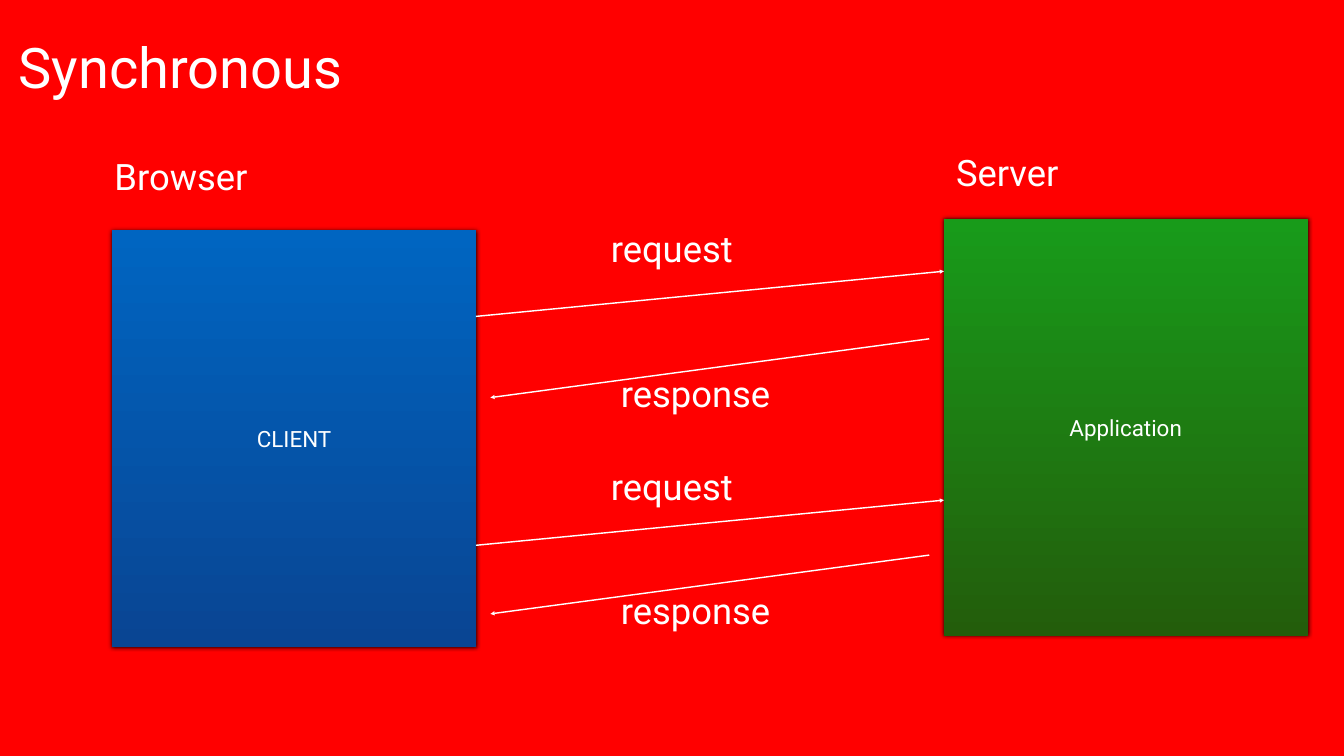
from lxml.etree import SubElement
from pptx import Presentation
from pptx.dml.color import RGBColor
from pptx.enum.shapes import MSO_CONNECTOR as Connector, MSO_SHAPE as Shape
from pptx.enum.text import MSO_ANCHOR as Anchor, MSO_AUTO_SIZE as AutoSize, PP_ALIGN as Align
from pptx.oxml.ns import qn
from pptx.util import Pt

FONT = "Roboto"
COLORS = {
    "background": "FF0000",
    "text": "FFFFFF",
    "shadow": "000000",
    "client": ("0065C1", "094593"),
    "server": ("189B1A", "235D0B"),
}
TITLE = ("Synchronous", 21, 43, 474, 104)
BLOCK_SIZE = (520.5, 595.5)
BLOCKS = [
    ("CLIENT", "client", 160, 329),
    ("Application", "server", 1348, 312.5),
]
HEADINGS = [("Browser", 159, 217, 199), ("Server", 1359.5, 210, 159)]
LABEL_HEIGHT = 70
MESSAGES = [
    {"label": "request", "left": 867.5, "width": 184.5, "label_tops": (319.5, 659.5),
     "from": (680, 452), "to": (1348.5, 387.5), "drops": (0, 327)},
    {"label": "response", "left": 881.5, "width": 224.5, "label_tops": (527, 836),
     "from": (1327.5, 484), "to": (700.5, 568), "drops": (0, 309)},
]


def rgb(value):
    return RGBColor.from_string(value)


def write(shape, text, size, wrap=False):
    frame = shape.text_frame
    frame.text = text
    frame.word_wrap = wrap
    frame.auto_size = AutoSize.NONE if wrap else AutoSize.SHAPE_TO_FIT_TEXT
    frame.vertical_anchor = Anchor.MIDDLE
    frame.margin_left = frame.margin_right = Pt(4)
    frame.margin_top = frame.margin_bottom = Pt(4)
    para = frame.paragraphs[0]
    para.alignment = Align.CENTER
    for span in para.runs:
        span.font.name = FONT
        span.font.size = Pt(size)
        span.font.color.rgb = rgb(COLORS["text"])


def add_title(page):
    text, left, top, width, height = TITLE
    title = page.shapes.title
    title.left, title.top = Pt(left), Pt(top)
    title.width, title.height = Pt(width), Pt(height)
    write(title, text, 80)


def add_label(page, text, left, top, width):
    box = page.shapes.add_textbox(Pt(left), Pt(top), Pt(width), Pt(LABEL_HEIGHT))
    write(box, text, 52)


def add_block(page, text, color, left, top):
    width, height = BLOCK_SIZE
    block = page.shapes.add_shape(Shape.RECTANGLE, Pt(left), Pt(top), Pt(width), Pt(height))
    block.fill.gradient()
    block.fill.gradient_angle = 270
    for stop, value, position in zip(block.fill.gradient_stops, COLORS[color], (0, 1)):
        stop.color.rgb = rgb(value)
        stop.position = position
    block.line.fill.background()
    block.shadow.inherit = False
    effects = block._element.spPr.find(qn("a:effectLst"))
    shadow = SubElement(effects, qn("a:outerShdw"), blurRad=str(Pt(6)), dist="0",
                        dir=str(315 * 60000), rotWithShape="0")
    tone = SubElement(shadow, qn("a:srgbClr"), val=COLORS["shadow"])
    SubElement(tone, qn("a:alpha"), val="80000")
    write(block, text, 32, wrap=True)


def add_arrow(page, start, end, drop):
    (x1, y1), (x2, y2) = start, end
    arrow = page.shapes.add_connector(Connector.STRAIGHT, Pt(x1), Pt(y1 + drop), Pt(x2), Pt(y2 + drop))
    arrow.line.color.rgb = rgb(COLORS["text"])
    arrow.line.width = Pt(2)
    properties = arrow._element.spPr
    SubElement(properties.find(qn("a:ln")), qn("a:tailEnd"), type="triangle")
    SubElement(properties, qn("a:effectLst"))


def main():
    deck = Presentation()
    deck.slide_width, deck.slide_height = Pt(1920), Pt(1080)
    page = deck.slides.add_slide(deck.slide_layouts[5])
    page.background.fill.solid()
    page.background.fill.fore_color.rgb = rgb(COLORS["background"])

    add_title(page)
    for block in BLOCKS:
        add_block(page, *block)
    for heading in HEADINGS:
        add_label(page, *heading)
    for turn in range(2):
        for message in MESSAGES:
            add_arrow(page, message["from"], message["to"], message["drops"][turn])
            add_label(page, message["label"], message["left"], message["label_tops"][turn], message["width"])
    deck.save("out.pptx")


if __name__ == "__main__":
    main()
